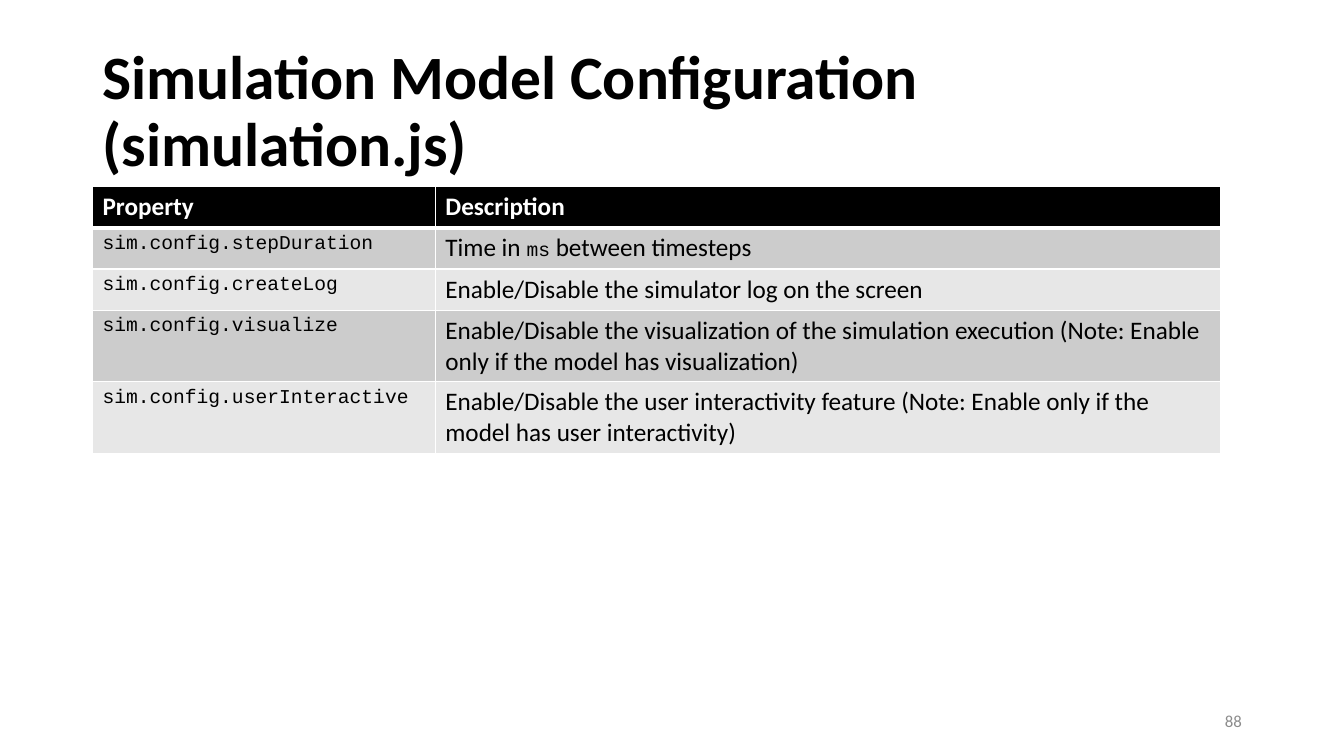
from dataclasses import dataclass

from lxml import etree
from pptx import Presentation
from pptx.dml.color import RGBColor
from pptx.enum import text as txt
from pptx.oxml import ns
from pptx.util import Cm, Pt

COLORS = {
    "black": "000000",
    "white": "FFFFFF",
    "dark band": "CCCCCC",
    "light band": "E7E7E7",
    "page number": "8C8C8C",
}


@dataclass(frozen=True)
class Style:
    size: int
    font: str = "Calibri"
    color: str = "black"
    bold: bool = False


@dataclass(frozen=True)
class Span:
    words: str
    style: Style


@dataclass(frozen=True)
class Row:
    cells: tuple[tuple[Span, ...], ...]
    height: float = 1.04


@dataclass(frozen=True)
class Label:
    span: Span
    left: float
    top: float
    width: float
    height: float
    align: txt.PP_ALIGN = txt.PP_ALIGN.LEFT
    line_spacing: float = 1.0


HEADER = Style(18, color="white", bold=True)
BODY = Style(18)
CODE = Style(14, "Courier New")


def setting(name: str, *description: Span, height: float = 1.04) -> Row:
    """Row for one property of sim.config."""
    return Row(((Span(f"sim.config.{name}", CODE),), description), height)


ROWS = (
    Row(((Span("Property", HEADER),), (Span("Description", HEADER),))),
    setting("stepDuration", Span("Time in ", BODY), Span("ms", CODE),
            Span(" between timesteps", BODY)),
    setting("createLog", Span("Enable/Disable the simulator log on the screen", BODY)),
    setting("visualize",
            Span("Enable/Disable the visualization of the simulation execution "
                 "(Note: Enable only if the model has visualization)", BODY),
            height=1.8),
    setting("userInteractive",
            Span("Enable/Disable the user interactivity feature "
                 "(Note: Enable only if the model has user interactivity)", BODY),
            height=1.8),
)
COLUMN_WIDTHS = (8.64, 19.78)

LABELS = (
    Label(Span("Simulation Model Configuration (simulation.js)", Style(44, bold=True)),
          2.33, 1.01, 29.21, 3.68, line_spacing=0.9),
    Label(Span("88", Style(12, color="page number")),
          23.93, 17.65, 7.62, 1.01, align=txt.PP_ALIGN.RIGHT),
)


def rgb(color: str) -> RGBColor:
    return RGBColor.from_string(COLORS[color])


def write_spans(paragraph, spans: tuple[Span, ...]) -> None:
    for span in spans:
        run = paragraph.add_run()
        run.text = span.words
        run.font.size = Pt(span.style.size)
        run.font.name = span.style.font
        run.font.bold = span.style.bold
        run.font.color.rgb = rgb(span.style.color)


def add_label(slide, label: Label) -> None:
    box = slide.shapes.add_textbox(
        Cm(label.left), Cm(label.top), Cm(label.width), Cm(label.height))
    frame = box.text_frame
    frame.word_wrap = True
    frame.vertical_anchor = txt.MSO_ANCHOR.MIDDLE
    paragraph = frame.paragraphs[0]
    paragraph.alignment = label.align
    paragraph.line_spacing = label.line_spacing
    write_spans(paragraph, (label.span,))


def set_borders(cell, widths: dict[str, int]) -> None:
    """Draw white borders; widths are points by side (L, R, T, B)."""
    properties = cell._tc.get_or_add_tcPr()
    for side, width in widths.items():
        line = etree.SubElement(properties, ns.qn(f"a:ln{side}"), w=str(Pt(width)))
        fill = etree.SubElement(line, ns.qn("a:solidFill"))
        etree.SubElement(fill, ns.qn("a:srgbClr"), val=COLORS["white"])


def band_color(row_number: int) -> str:
    if row_number == 0:
        return "black"
    return "dark band" if row_number % 2 else "light band"


def add_settings_table(slide) -> None:
    table = slide.shapes.add_table(
        len(ROWS), len(COLUMN_WIDTHS), Cm(2.33), Cm(4.7),
        Cm(sum(COLUMN_WIDTHS)), Cm(sum(row.height for row in ROWS))).table
    for column, width in zip(table.columns, COLUMN_WIDTHS):
        column.width = Cm(width)
    for row_number, row in enumerate(ROWS):
        table.rows[row_number].height = Cm(row.height)
        for column_number, spans in enumerate(row.cells):
            cell = table.cell(row_number, column_number)
            set_borders(cell, {"L": 1, "R": 1,
                               "T": 3 if row_number == 1 else 1,
                               "B": 3 if row_number == 0 else 1})
            cell.fill.solid()
            cell.fill.fore_color.rgb = rgb(band_color(row_number))
            write_spans(cell.text_frame.paragraphs[0], spans)


def main() -> None:
    deck = Presentation()
    deck.slide_width, deck.slide_height = Cm(33.87), Cm(19.05)
    slide = deck.slides.add_slide(deck.slide_layouts[6])
    for label in LABELS:
        add_label(slide, label)
    add_settings_table(slide)
    deck.save("out.pptx")


if __name__ == "__main__":
    main()
